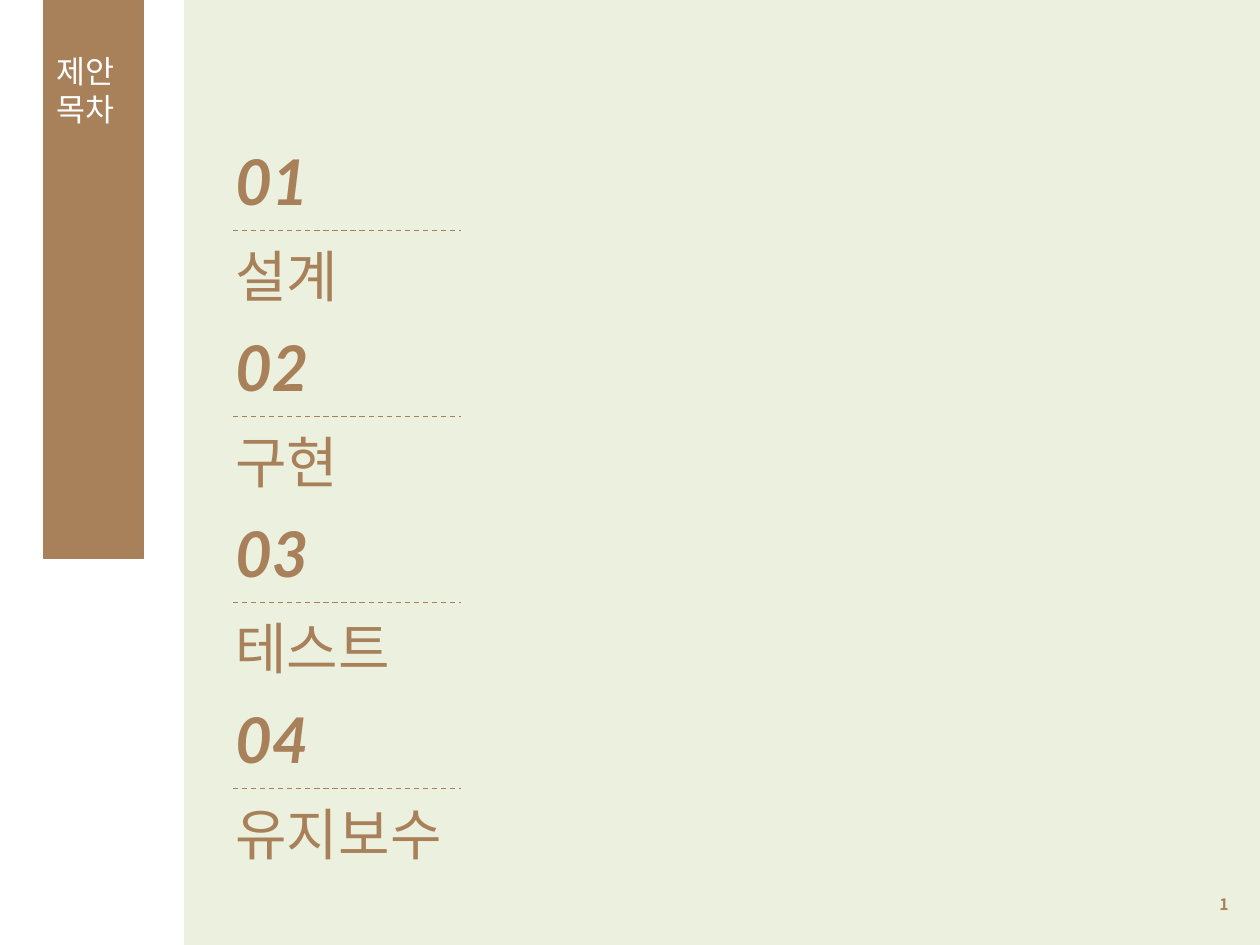
"""Build a proposal contents slide with four numbered sections."""
from dataclasses import dataclass

from lxml import etree
from pptx import Presentation
from pptx import util as u
from pptx.dml.color import RGBColor
from pptx.enum import dml, shapes, text
from pptx.oxml.ns import qn

TITLE = ["제안", "목차"]
SECTIONS = [("설계", 2.6), ("구현", 2.6), ("테스트", 2.99), ("유지보수", 2.99)]
PAGE = "1"


@dataclass(frozen=True)
class Theme:
    brown: RGBColor = RGBColor(0xA8, 0x81, 0x5A)
    green: RGBColor = RGBColor(0xEB, 0xF1, 0xDE)
    white: RGBColor = RGBColor(0xFF, 0xFF, 0xFF)
    latin: str = "Lato"
    korean: str = "Noto Sans CJK KR"
    line: float = 0.75


T = Theme()
FORMATS = {
    "title": dict(size=u.Pt(18), name=T.korean, bold=False),
    "number": dict(size=u.Pt(36), name=T.latin, bold=True, italic=True),
    "label": dict(size=u.Pt(32), name=T.latin),
    "page": dict(size=u.Pt(9), name=T.korean, bold=True),
}
WIDTH, HEIGHT = 10, 7.5
PANEL_LEFT = 1.46
TEXT_LEFT, RULE_LEFT, RULE_RIGHT = 1.77, 1.85, 3.66
FIRST_ROW, ROW_STEP = 1.08, 1.476
RULE_DROP, LABEL_DROP = 0.75, 0.79


def inches(*values):
    return [u.Inches(v) for v in values]


def style(font, kind, color):
    for name, value in FORMATS[kind].items():
        setattr(font, name, value)
    font.color.rgb = color


def set_east_asian(r_pr):
    ea = etree.Element(qn("a:ea"), typeface=T.korean)
    r_pr.find(qn("a:latin")).addnext(ea)


def write(p, words, kind, color):
    r = p.add_run()
    r.text = words
    style(r.font, kind, color)
    set_east_asian(r.font._element)


def add_text(s, box, words, kind):
    sp = s.shapes.add_textbox(*inches(*box))
    tf = sp.text_frame
    tf.word_wrap = True
    tf.auto_size = text.MSO_AUTO_SIZE.SHAPE_TO_FIT_TEXT
    write(tf.paragraphs[0], words, kind, T.brown)


def add_panel(s):
    sp = s.shapes.add_shape(shapes.MSO_SHAPE.RECTANGLE,
                            *inches(PANEL_LEFT, 0, WIDTH - PANEL_LEFT, HEIGHT))
    sp.shadow.inherit = False
    sp.fill.solid()
    sp.fill.fore_color.rgb = T.green
    sp.line.fill.background()


def add_title(s):
    sp = s.shapes.title
    sp.left, sp.top, sp.width, sp.height = inches(0.35, 0.36, 0.79, 0.71)
    sp.fill.solid()
    sp.fill.fore_color.rgb = sp.line.color.rgb = T.brown
    sp.line.width = u.Pt(T.line)
    tf = sp.text_frame
    tf.word_wrap = True
    tf.auto_size = text.MSO_AUTO_SIZE.SHAPE_TO_FIT_TEXT
    tf.vertical_anchor = text.MSO_ANCHOR.MIDDLE
    for i, words in enumerate(TITLE):
        p = tf.add_paragraph() if i else tf.paragraphs[0]
        p.alignment = text.PP_ALIGN.JUSTIFY
        write(p, words, "title", T.white)


def add_rule(s, y):
    line = s.shapes.add_connector(shapes.MSO_CONNECTOR.STRAIGHT,
                                  *inches(RULE_LEFT, y, RULE_RIGHT, y))
    line.line.color.rgb = T.brown
    line.line.width = u.Pt(T.line)
    line.line.dash_style = dml.MSO_LINE.DASH
    etree.SubElement(line._element.spPr, qn("a:effectLst"))


def add_page_number(s):
    sp = s.shapes.add_textbox(*inches(7.52, 6.98, 2.33, 0.4))
    tf = sp.text_frame
    tf.word_wrap = True
    tf.vertical_anchor = text.MSO_ANCHOR.MIDDLE
    p = tf.paragraphs[0]
    p.alignment = text.PP_ALIGN.RIGHT
    write(p, PAGE, "page", T.brown)
    r = p.runs[0]._r
    r.tag = qn("a:fld")
    r.set("id", "{B6F15528-21DE-4FAA-801E-634DDDAF4B2B}")
    r.set("type", "slidenum")


def main():
    prs = Presentation()
    prs.slide_width, prs.slide_height = inches(WIDTH, HEIGHT)
    s = prs.slides.add_slide(prs.slide_layouts[5])
    add_panel(s)
    add_title(s)
    for i, (label, width) in enumerate(SECTIONS):
        top = FIRST_ROW + i * ROW_STEP
        add_text(s, (TEXT_LEFT, top, 1.26, 0.71), f"{i + 1:02}", "number")
        add_rule(s, top + RULE_DROP)
        add_text(s, (TEXT_LEFT, top + LABEL_DROP, width, 0.64), label, "label")
    add_page_number(s)
    prs.save("out.pptx")


if __name__ == "__main__":
    main()
